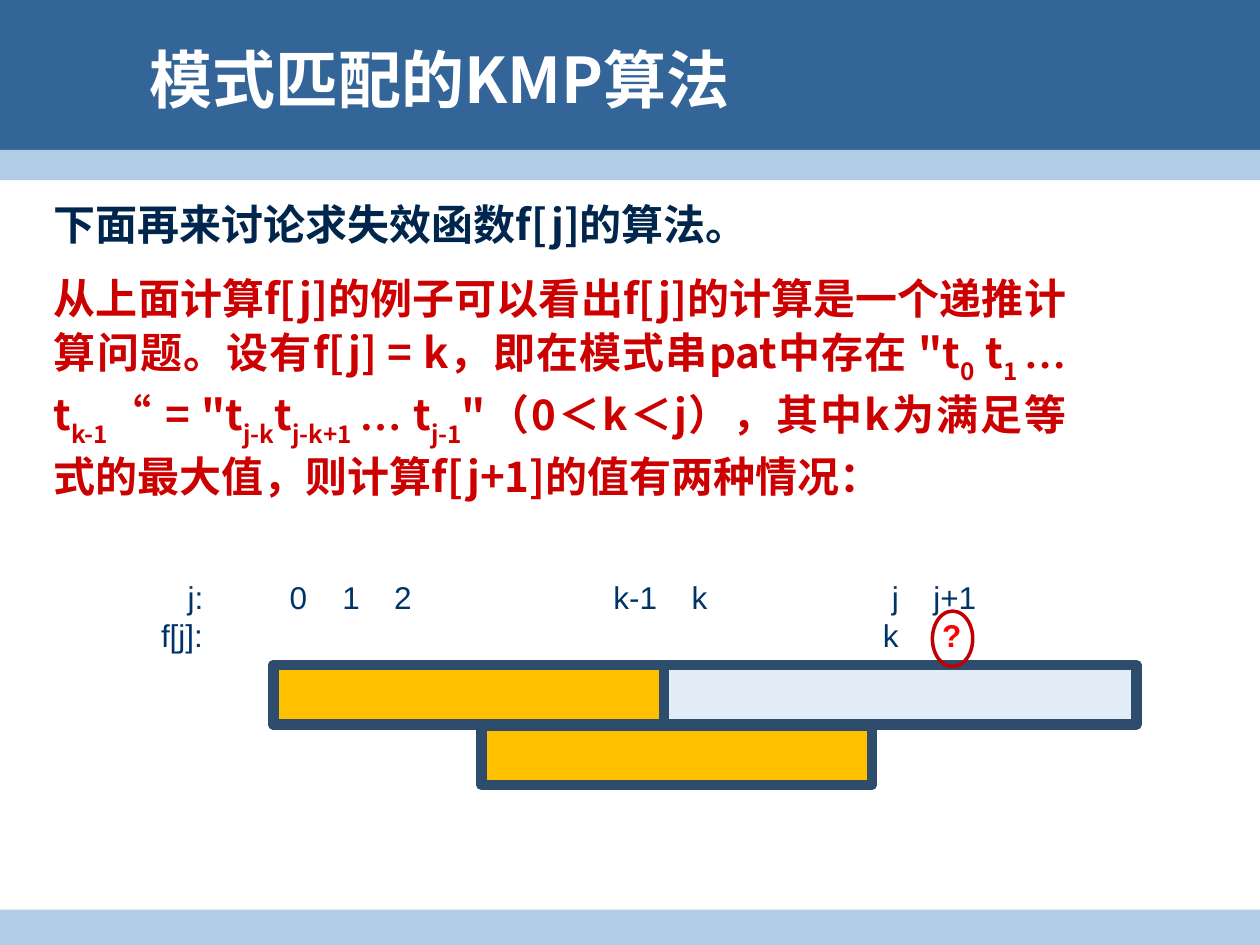
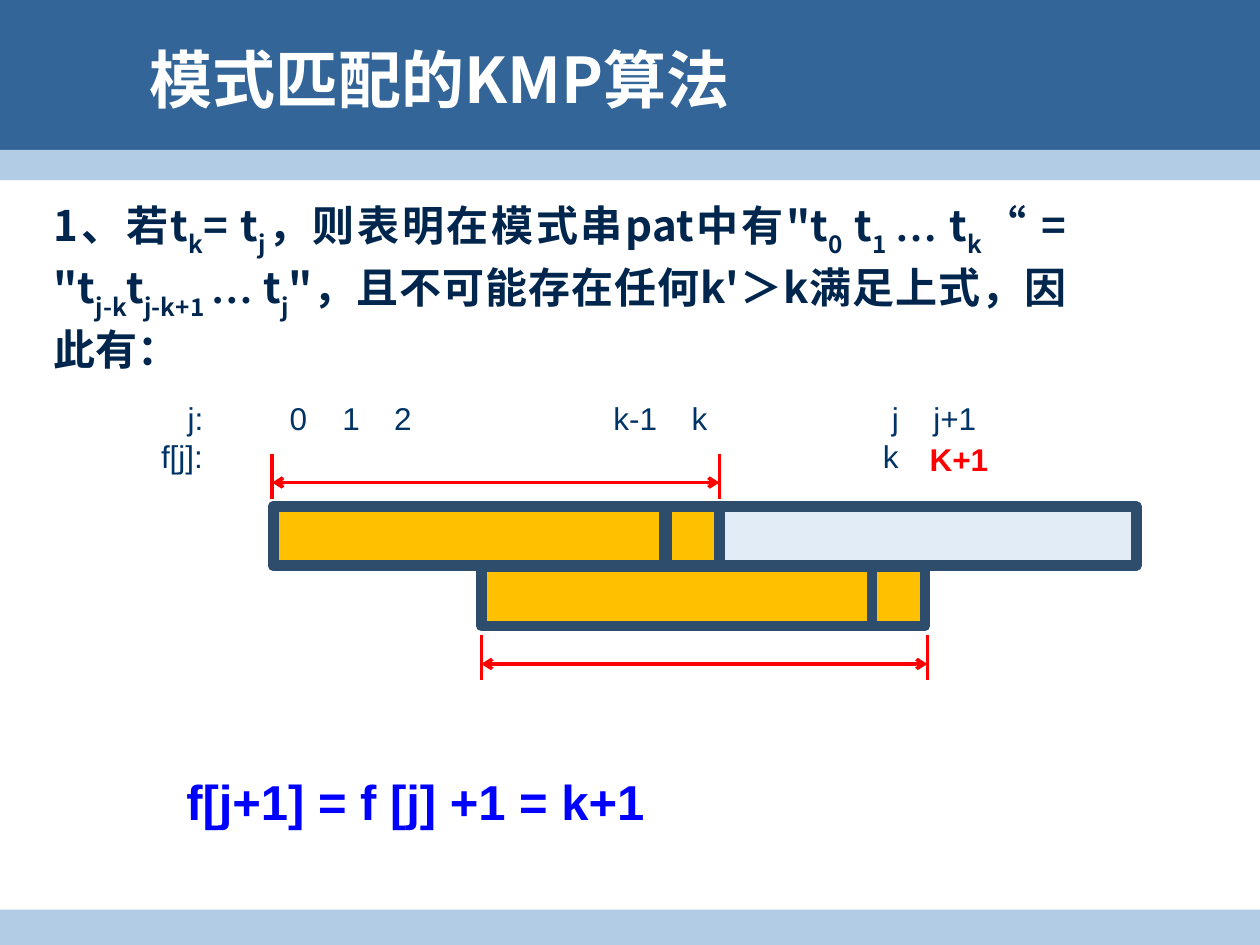
"""Build two slides on computing the KMP failure function."""
from dataclasses import dataclass
from itertools import groupby

from lxml.etree import SubElement
from pptx import Presentation
from pptx.dml.color import RGBColor as Rgb
from pptx.enum.shapes import MSO_CONNECTOR as Connector, MSO_SHAPE as Shape
from pptx.enum.text import MSO_ANCHOR as Anchor, PP_ALIGN as Align
from pptx.oxml.ns import qn
from pptx.util import Inches, Pt


@dataclass(frozen=True)
class Theme:
    """Colours, fonts and type sizes of the deck."""
    header: str = "336599"
    band: str = "B3CCE6"
    white: str = "FFFFFF"
    navy: str = "00264D"
    crimson: str = "CC0000"
    label: str = "003366"
    red: str = "FF0000"
    ring: str = "C00000"
    blue: str = "0000FF"
    match: str = "FFC000"
    rest: str = "E2ECF6"
    outline: str = "2E4C6B"
    cjk: str = "Noto Sans CJK SC"
    sans: str = "Arial"
    serif: str = "Times New Roman"
    title_size: int = 36
    formula_size: int = 28
    body_size: int = 24
    label_size: int = 18


@dataclass(frozen=True)
class Box:
    """Left, top, width and height in inches."""
    left: float
    top: float
    width: float
    height: float

    def lengths(self) -> tuple:
        """Return the four values as lengths."""
        return tuple(Inches(v) for v in (self.left, self.top, self.width, self.height))


@dataclass(frozen=True)
class Style:
    """Look of a piece of text."""
    size: int
    font: str
    color: str
    bold: bool = True


@dataclass(frozen=True)
class Bar:
    """One segment of the pattern string; row 1 is the shifted copy."""
    left: float
    row: int
    width: float
    color: str


@dataclass(frozen=True)
class IndexLabel:
    """A label of the index table: its text, row and left edge in inches."""
    text: str
    row: int
    left: float


THEME = Theme()
TITLE = Style(THEME.title_size, THEME.cjk, THEME.white)
BODY = Style(THEME.body_size, THEME.cjk, THEME.navy)
ALERT = Style(THEME.body_size, THEME.cjk, THEME.crimson)
LABEL = Style(THEME.label_size, THEME.sans, THEME.label, False)
ANSWER = Style(THEME.label_size, THEME.sans, THEME.red)
FORMULA = Style(THEME.formula_size, THEME.sans, THEME.blue)

BANDS = (
    (Box(0, 0, 10, 1.31), THEME.header),
    (Box(0, 1.19, 10, 0.24), THEME.band),
    (Box(0, 7.22, 10, 0.28), THEME.band),
)
BAR_HEIGHT, ROW_STEP = 0.47, 0.48
START, SHIFT, PREFIX, NEXT = 2.17, 3.82, 3.1, 0.42
SHIFTED = Bar(SHIFT, 1, PREFIX, THEME.match)
PATTERN = Bar(START, 0, 6.85, THEME.rest)
MATCHED = Bar(START, 0, PREFIX, THEME.match)
EXTENSIONS = tuple(
    Bar(left + PREFIX, row, NEXT, THEME.match)
    for row, left in enumerate((START + 0.02, SHIFT))
)
LABEL_STEP = 0.3
INDEX_LABELS = (
    IndexLabel("j:", 0, 1.39),
    IndexLabel("0", 0, 2.2),
    IndexLabel("1", 0, 2.62),
    IndexLabel("2", 0, 3.03),
    IndexLabel("k-1", 0, 4.77),
    IndexLabel("k", 0, 5.39),
    IndexLabel("j", 0, 6.98),
    IndexLabel("j+1", 0, 7.31),
    IndexLabel("f[j]:", 1, 1.18),
    IndexLabel("k", 1, 6.91),
)


def add_run(paragraph, text: str, style: Style, subscript: bool = False, font: str = "") -> None:
    """Append one formatted run."""
    run = paragraph.add_run()
    run.text = text
    values = {"size": Pt(style.size), "bold": style.bold, "name": font or style.font}
    for name, value in values.items():
        setattr(run.font, name, value)
    run.font.color.rgb = Rgb.from_string(style.color)
    properties = run._r.get_or_add_rPr()
    SubElement(properties, qn("a:ea")).set("typeface", style.font)
    if subscript:
        properties.set("baseline", "-30000")


def add_text_frame(slide, box: Box, anchor=Anchor.TOP):
    """Add a wrapping text box and return its frame."""
    frame = slide.shapes.add_textbox(*box.lengths()).text_frame
    for name, value in {"word_wrap": True, "vertical_anchor": anchor}.items():
        setattr(frame, name, value)
    return frame


def add_line_of_text(slide, box: Box, text: str, style: Style, anchor=Anchor.TOP) -> None:
    """Add a text box that holds a single run."""
    add_run(add_text_frame(slide, box, anchor).paragraphs[0], text, style)


def add_body(slide, height: float, passages: list) -> None:
    """Write justified passages, with subscripts given in braces."""
    frame = add_text_frame(slide, Box(0.33, 1.51, 8.23, height))
    layout = {"alignment": Align.JUSTIFY, "line_spacing": 1.05,
              "space_before": Pt(THEME.body_size / 2)}
    for number, (text, style) in enumerate(passages):
        paragraph = frame.add_paragraph() if number else frame.paragraphs[0]
        for name, value in layout.items():
            setattr(paragraph, name, value)
        for place, piece in enumerate(text.replace("}", "{").split("{")):
            for is_serif, letters in groupby(piece, lambda letter: letter in "…“"):
                font = THEME.serif if is_serif else ""
                add_run(paragraph, "".join(letters), style, place % 2 == 1, font)


def add_block(slide, box: Box, fill: str = "", line: str = "", width: float = 0,
              kind=Shape.RECTANGLE) -> None:
    """Add a flat preset shape with an optional fill and outline."""
    block = slide.shapes.add_shape(kind, *box.lengths())
    block.shadow.inherit = False
    for part, color in ((block.fill, fill), (block.line.fill, line)):
        if color:
            part.solid()
            part.fore_color.rgb = Rgb.from_string(color)
        else:
            part.background()
    if line:
        block.line.width = Pt(width)
        SubElement(block.line._get_or_add_ln(), qn("a:round"))


def add_bars(slide, top: float, bars: tuple) -> None:
    """Draw the segments of the pattern and of its shifted copy."""
    for bar in bars:
        box = Box(bar.left, top + bar.row * ROW_STEP, bar.width, BAR_HEIGHT)
        add_block(slide, box, bar.color, THEME.outline, 6)


def add_index(slide, top: float) -> None:
    """Write the rows of j and f[j] above the bars."""
    for label in INDEX_LABELS:
        box = Box(label.left, top + label.row * LABEL_STEP, 0.7, 0.4)
        add_line_of_text(slide, box, label.text, LABEL)


def add_span(slide, left: float, right: float, top: float) -> None:
    """Draw a grouped dimension: two ticks and a double arrow."""
    group = slide.shapes.add_group_shape().shapes
    middle = top + 0.23
    strokes = (
        (left, top, left, top + 0.36, False),
        (right, top, right, top + 0.36, False),
        (left, middle, right, middle, True),
    )
    for *ends, is_arrow in strokes:
        stroke = group.add_connector(Connector.STRAIGHT, *map(Inches, ends))
        stroke.line.width = Pt(2)
        stroke.line.color.rgb = Rgb.from_string(THEME.red)
        SubElement(stroke._element.spPr, qn("a:effectLst"))
        if is_arrow:
            for end in ("a:headEnd", "a:tailEnd"):
                SubElement(stroke.line._get_or_add_ln(), qn(end)).set("type", "arrow")


def start_slide(deck):
    """Add a slide with the shared bands and title."""
    slide = deck.slides.add_slide(deck.slide_layouts[6])
    for box, color in BANDS:
        add_block(slide, box, color)
    add_line_of_text(slide, Box(1.09, 0.16, 8.48, 0.92), "模式匹配的KMP算法", TITLE, Anchor.MIDDLE)
    return slide


def build_question(deck) -> None:
    """Pose the recurrence for f[j+1]."""
    slide = start_slide(deck)
    add_body(slide, 3.57, [
        ("下面再来讨论求失效函数f[j]的算法。", BODY),
        ("从上面计算f[j]的例子可以看出f[j]的计算是一个递推计算问题。"
         "设有f[j] = k，即在模式串pat中存在 \"t{0} t{1 }… t{k-1}“ = "
         "\"t{j-k}t{j-k+1 }… t{j-1}\"（0＜k＜j），其中k为满足等式的最大值，"
         "则计算f[j+1]的值有两种情况：", ALERT),
    ])
    add_bars(slide, 5.28, (SHIFTED, PATTERN, MATCHED))
    add_index(slide, 4.54)
    add_line_of_text(slide, Box(7.38, 4.84, 0.43, 0.4), "?", ANSWER)
    add_block(slide, Box(7.4, 4.85, 0.32, 0.44), line=THEME.ring, width=2, kind=Shape.OVAL)


def build_first_case(deck) -> None:
    """Show the case in which the next characters agree."""
    slide = start_slide(deck)
    add_body(slide, 5.55, [
        ("1、若t{k}= t{j}，则表明在模式串pat中有\"t{0} t{1 }… t{k}“ = "
         "\"t{j-k}t{j-k+1 }… t{j}\"，且不可能存在任何k'＞k满足上式，因此有：", BODY),
    ])
    add_bars(slide, 4.02, (SHIFTED, PATTERN, MATCHED, *EXTENSIONS))
    add_line_of_text(slide, Box(7.28, 3.44, 0.97, 0.4), "K+1", ANSWER)
    add_index(slide, 3.12)
    add_span(slide, 2.16, 5.71, 3.6)
    add_span(slide, 3.82, 7.36, 5.04)
    add_line_of_text(slide, Box(1.38, 6.07, 7.12, 0.88), "f[j+1] = f [j] +1 = k+1", FORMULA)


def main() -> None:
    """Build and save the deck."""
    deck = Presentation()
    for name, value in {"slide_width": Inches(10), "slide_height": Inches(7.5)}.items():
        setattr(deck, name, value)
    build_question(deck)
    build_first_case(deck)
    deck.save("out.pptx")


main()
